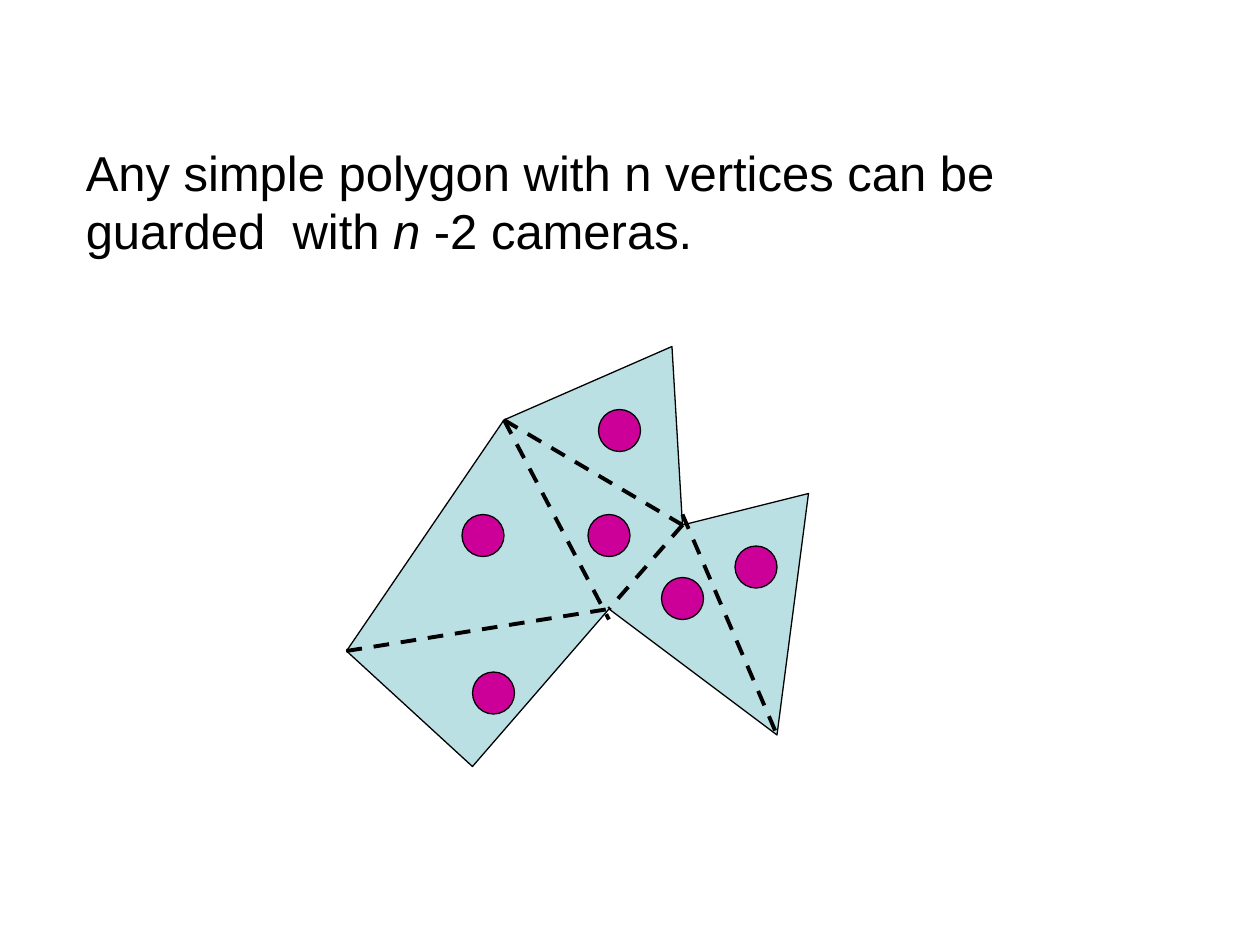
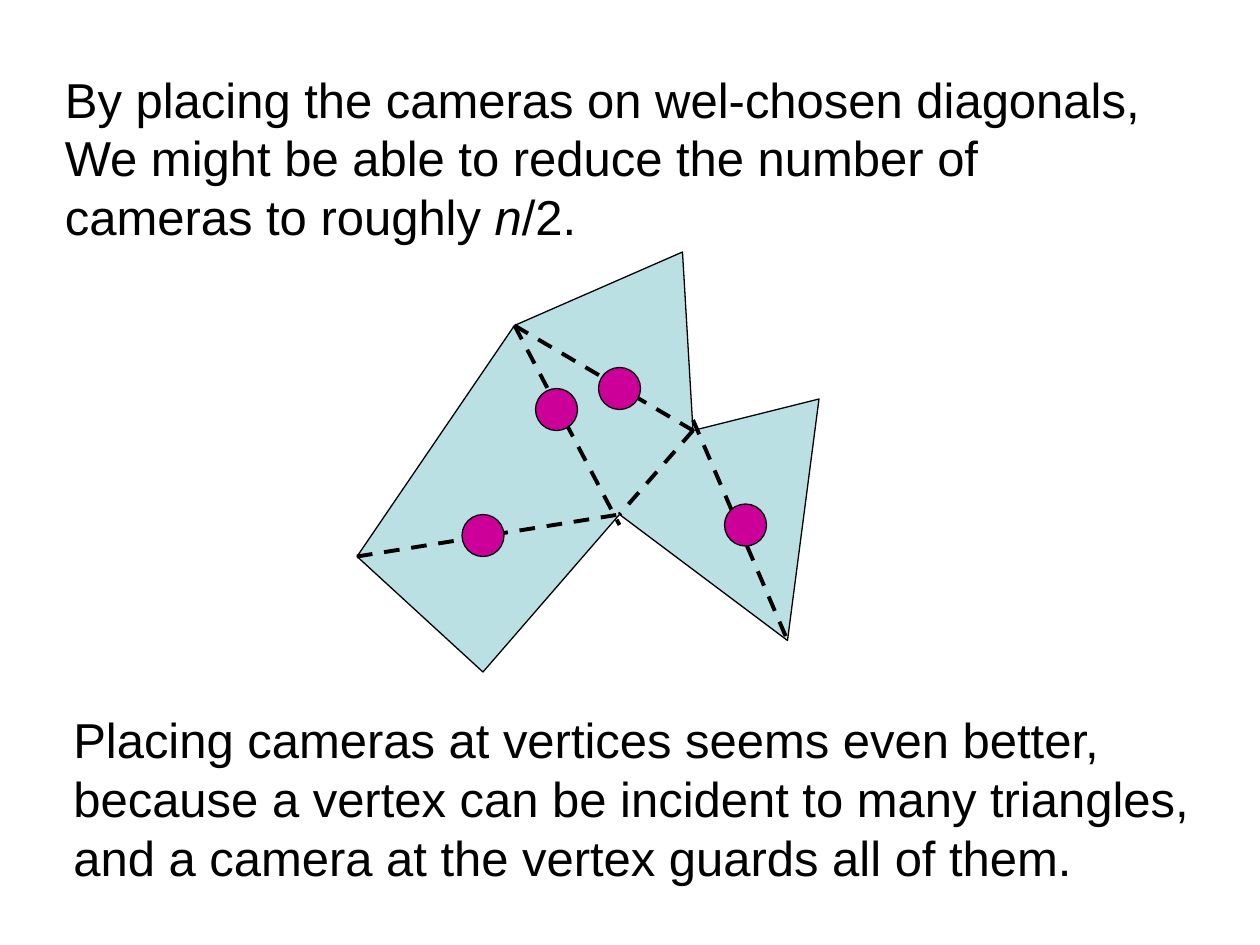
from dataclasses import dataclass

from lxml.etree import SubElement
from pptx import Presentation
from pptx.dml.color import RGBColor as RGB
from pptx.enum.dml import MSO_LINE as Dash
from pptx.enum.shapes import MSO_CONNECTOR as Wire, MSO_SHAPE as Shape
from pptx.enum.text import MSO_AUTO_SIZE as Fit
from pptx.oxml.ns import qn
from pptx.util import Cm, Pt


@dataclass(frozen=True)
class Theme:
    font: str = "Arial"
    size: float = 28
    ink: RGB = RGB(0x00, 0x00, 0x00)
    floor: RGB = RGB(0xBB, 0xE0, 0xE3)
    camera: RGB = RGB(0xCC, 0x00, 0x99)
    edge: float = 0.75
    cut: float = 2.25


# Polygon and its diagonals, in grid steps from the top left of the drawing
CORNERS = [(15, 7), (0, 29), (12, 40), (25, 25),
           (41, 37), (44, 14), (32, 17), (31, 0)]
CUTS = [((0, 29), (25, 25)), ((15, 7), (32, 17)), ((32, 16), (41, 37)),
        ((32, 17), (25, 25)), ((15, 7), (25, 26))]
DOT = 4  # camera width in grid steps


def grid(step):
    """Twelve grid steps make one inch."""
    return Cm(step * 2.54 / 12)


def write(frame, text, *, theme, size=None, color=None):
    """One paragraph a line; words between stars are italic."""
    for i, line in enumerate(text.split("\n")):
        para = frame.add_paragraph() if i else frame.paragraphs[0]
        for j, part in enumerate(line.split("*")):
            if not part:
                continue
            run = para.add_run()
            run.text = part
            font = run.font
            font.name = theme.font
            font.size = Pt(size or theme.size)
            font.color.rgb = color or theme.ink
            font.italic = j % 2 == 1


class Deck:
    def __init__(self, theme):
        self.theme = theme
        self.show = Presentation()
        self.show.slide_width, self.show.slide_height = Cm(25.4), Cm(19.05)
        self.slide = None

    def page(self):
        blank = self.show.slide_layouts[6]
        self.slide = self.show.slides.add_slide(blank)

    def text(self, text, left, top, width, height):
        box = self.slide.shapes.add_textbox(
            Cm(left), Cm(top), Cm(width), Cm(height))
        frame = box.text_frame
        frame.word_wrap = True
        frame.auto_size = Fit.SHAPE_TO_FIT_TEXT
        write(frame, text, theme=self.theme)

    def paint(self, shape, fill):
        shape.shadow.inherit = False
        shape.fill.solid()
        shape.fill.fore_color.rgb = fill
        shape.line.color.rgb = self.theme.ink
        shape.line.width = Pt(self.theme.edge)

    def cut(self, shapes, start, end):
        line = shapes.add_connector(Wire.STRAIGHT, *start, *end)
        line.line.color.rgb = self.theme.ink
        line.line.width = Pt(self.theme.cut)
        line.line.dash_style = Dash.DASH
        SubElement(line._element.spPr, qn("a:effectLst"))

    def room(self, left, top):
        """Polygon with dashed diagonals, as one group."""
        def place(point):
            return grid(left + point[0]), grid(top + point[1])

        shapes = self.slide.shapes.add_group_shape().shapes
        first, *rest = map(place, CORNERS)
        pen = shapes.build_freeform(*first, scale=1.0)
        pen.add_line_segments(rest, close=True)
        self.paint(pen.convert_to_shape(), self.theme.floor)
        for start, end in CUTS:
            self.cut(shapes, place(start), place(end))

    def dots(self, spots):
        for x, y in spots:
            dot = self.slide.shapes.add_shape(
                Shape.OVAL, grid(x), grid(y), grid(DOT), grid(DOT))
            self.paint(dot, self.theme.camera)


def main():
    deck = Deck(Theme())

    # One camera in each triangle
    deck.page()
    deck.text("Any simple polygon with n vertices can be guarded  with "
              "*n *-2 cameras.", 1.48, 2.74, 20.96, 2.64)
    deck.room(33, 33)
    deck.dots([(44, 49), (45, 64), (63, 55), (57, 39), (56, 49), (70, 52)])

    # Cameras on diagonals
    deck.page()
    deck.text("By placing the cameras on wel-chosen diagonals,\n"
              "We might be able to reduce the number of cameras to roughly "
              "*n*/2.", 1.06, 1.27, 22.48, 3.81)
    deck.room(34, 24)
    deck.dots([(51, 37), (69, 48), (44, 49), (57, 35)])
    deck.text("Placing cameras at vertices seems even better, because a "
              "vertex can be incident to many triangles, and a camera at "
              "the vertex guards all of them.", 1.23, 14.18, 24.17, 3.81)

    deck.show.save("out.pptx")


if __name__ == "__main__":
    main()
